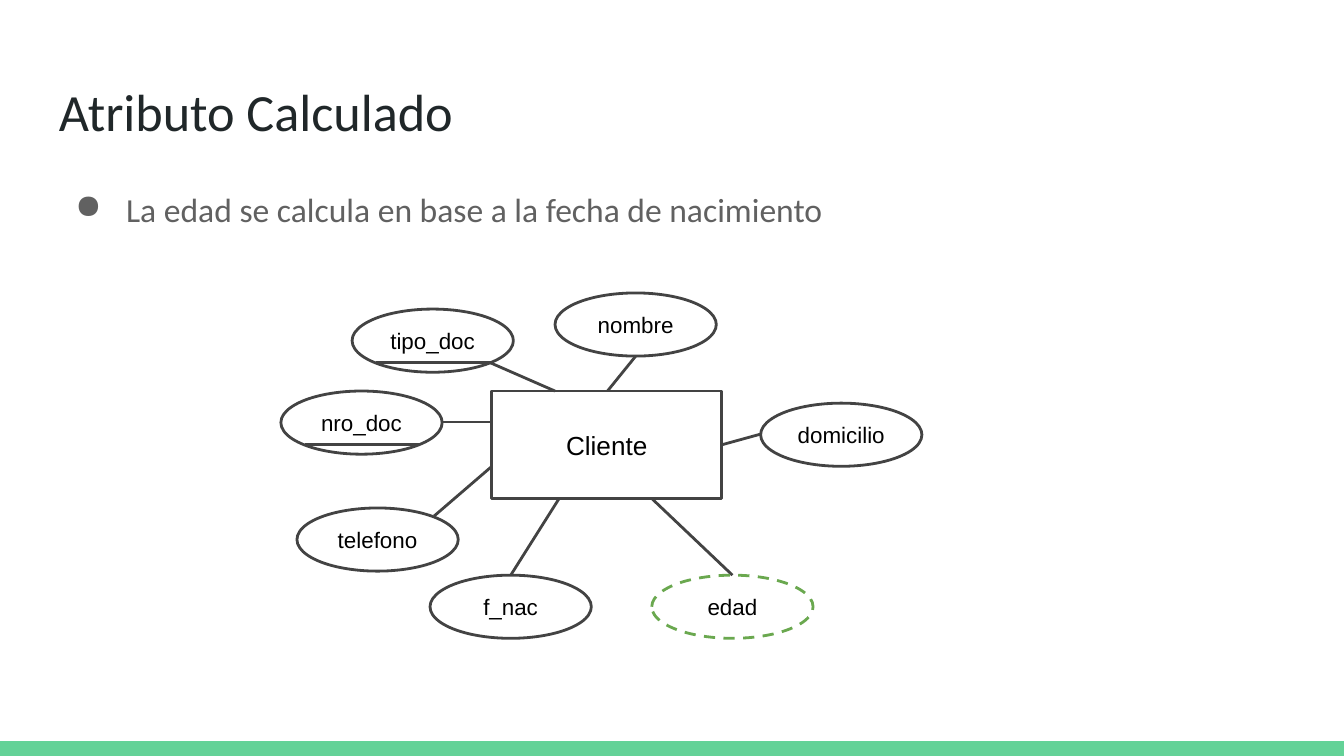
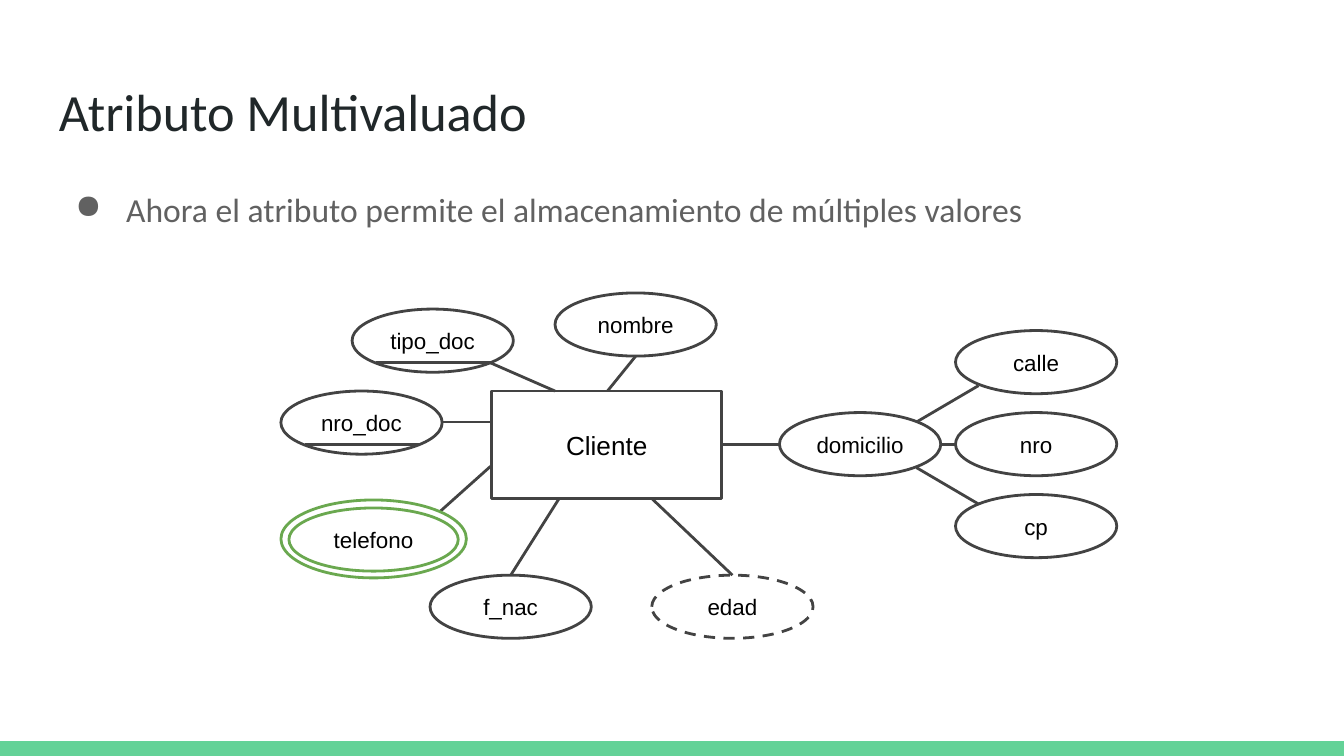
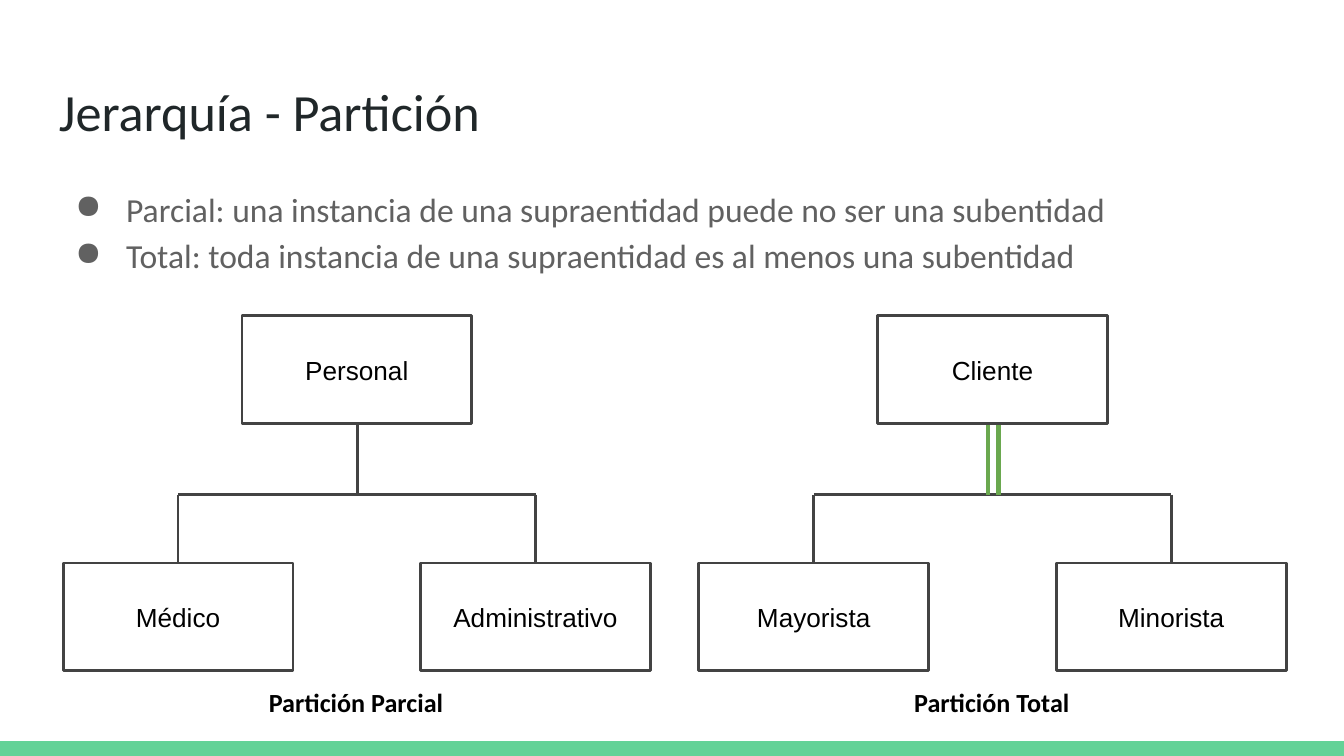
from lxml import etree
from pptx import Presentation
from pptx.dml.color import RGBColor
from pptx.enum.dml import MSO_LINE
from pptx.enum.shapes import MSO_CONNECTOR, MSO_SHAPE
from pptx.enum.text import MSO_ANCHOR, PP_ALIGN
from pptx.oxml.ns import qn
from pptx.util import Inches, Pt

RECTANGLE, ELLIPSE = MSO_SHAPE.RECTANGLE, MSO_SHAPE.OVAL
STRAIGHT = MSO_CONNECTOR.STRAIGHT
DASH = MSO_LINE.DASH
LEFT, CENTER = PP_ALIGN.LEFT, PP_ALIGN.CENTER
TOP, MIDDLE = MSO_ANCHOR.TOP, MSO_ANCHOR.MIDDLE

COLORS = {
    "band": "63D297",
    "title": "202729",
    "body": "616161",
    "outline": "434343",
    "accent": "6AA84F",
    "label": "000000",
}

SLIDE_WIDTH = Inches(10)
SLIDE_HEIGHT = SLIDE_WIDTH * 9 // 16
UNIT = SLIDE_WIDTH // 100  # square grid, 100 columns wide
ROWS = SLIDE_HEIGHT / UNIT

ENTITY = (17.1, 8)
ATTRIBUTE = (12, 4.7)
BAND_HEIGHT = 1.1
MARGIN = 3.4


def write(shape, lines, size, font, color, align=LEFT, anchor=TOP, bold=False, bullet=False):
    """Fill a shape's text frame, one paragraph per line."""
    frame = shape.text_frame
    frame.word_wrap = True
    frame.vertical_anchor = anchor
    frame.margin_left = frame.margin_right = UNIT
    frame.margin_top = frame.margin_bottom = UNIT
    for index, line in enumerate(lines):
        paragraph = frame.add_paragraph() if index else frame.paragraphs[0]
        paragraph.alignment = align
        if bullet:
            paragraph.line_spacing = 1.15
            properties = paragraph._p.get_or_add_pPr()
            properties.set("marL", str(Inches(0.5)))
            properties.set("indent", str(-Inches(0.38)))
            bullet_color = etree.SubElement(properties, qn("a:buClr"))
            etree.SubElement(bullet_color, qn("a:srgbClr"), val=COLORS[color])
            etree.SubElement(properties, qn("a:buChar"), char="●")
        run = paragraph.add_run()
        run.text = line
        run.font.size = Pt(size)
        run.font.name = font
        run.font.bold = bold
        run.font.color.rgb = RGBColor.from_string(COLORS[color])


def draw_line(slide, start_x, start_y, end_x, end_y, color="outline", weight=1.5):
    points = [round(value * UNIT) for value in (start_x, start_y, end_x, end_y)]
    connector = slide.shapes.add_connector(STRAIGHT, *points)
    connector.line.color.rgb = RGBColor.from_string(COLORS[color])
    connector.line.width = Pt(weight)
    etree.SubElement(connector._element.spPr, qn("a:effectLst"))


presentation = Presentation()
presentation.slide_width = SLIDE_WIDTH
presentation.slide_height = SLIDE_HEIGHT
blank_layout = presentation.slide_layouts[6]

# Shared frame: band, title and bullets
pages = [
    ("Atributo Calculado", 93.2, ["La edad se calcula en base a la fecha de nacimiento"]),
    ("Atributo Multivaluado", 93.2,
     ["Ahora el atributo permite el almacenamiento de múltiples valores"]),
    ("Jerarquía - Partición", 87.5,
     ["Parcial: una instancia de una supraentidad puede no ser una subentidad",
      "Total: toda instancia de una supraentidad es al menos una subentidad"]),
]
slides = []
for title, body_width, bullets in pages:
    slide = presentation.slides.add_slide(blank_layout)
    slides.append(slide)
    band = slide.shapes.add_shape(
        RECTANGLE, 0, round((ROWS - BAND_HEIGHT) * UNIT), SLIDE_WIDTH, round(BAND_HEIGHT * UNIT))
    band.shadow.inherit = False
    band.fill.solid()
    band.fill.fore_color.rgb = RGBColor.from_string(COLORS["band"])
    band.line.fill.background()
    title_box = slide.shapes.add_textbox(
        *[round(value * UNIT) for value in (MARGIN, 4.9, 93.2, 6.3)])
    write(title_box, [title], 28, "Calibri", "title")
    body_box = slide.shapes.add_textbox(
        *[round(value * UNIT) for value in (MARGIN, 12.6, body_width, 5.5)])
    write(body_box, bullets, 18, "Calibri", "body", bullet=True)

calculated, multivalued, hierarchy = slides

# Nodes: slide, kind, label, left, top, (width, height), color, dashed
nodes = []
for slide, age_color in ((calculated, "accent"), (multivalued, "outline")):
    nodes += [
        (slide, RECTANGLE, "Cliente", 36.6, 29.1, ENTITY, "outline", False),
        (slide, ELLIPSE, "nombre", 41.3, 21.8, ATTRIBUTE, "outline", False),
        (slide, ELLIPSE, "f_nac", 32, 42.8, ATTRIBUTE, "outline", False),
        (slide, ELLIPSE, "edad", 48.5, 42.8, ATTRIBUTE, age_color, True),
    ]
    for label, left, top in (("tipo_doc", 26.2, 23), ("nro_doc", 20.9, 29.1)):
        nodes.append((slide, ELLIPSE, label, left, top, ATTRIBUTE, "outline", False))
        draw_line(slide, left + 1.8, top + 4, left + 10.3, top + 4)  # key underline
    for link in (
        (36.5, 27, 41.3, 29.1),
        (32.9, 31.4, 36.6, 31.4),
        (47.3, 26.5, 45.2, 29.1),
        (38, 42.8, 41.6, 37.1),
        (54.5, 42.8, 48.5, 37.1),
    ):
        draw_line(slide, *link)

# Calculated attribute: simple address and telephone
nodes += [
    (calculated, ELLIPSE, "domicilio", 56.6, 30, ATTRIBUTE, "outline", False),
    (calculated, ELLIPSE, "telefono", 22.1, 37.8, ATTRIBUTE, "outline", False),
]
draw_line(calculated, 53.7, 33.1, 56.6, 32.3)
draw_line(calculated, 36.6, 34.7, 32.3, 38.4)

# Multivalued attribute: double telephone outline, composite address
nodes += [
    (multivalued, ELLIPSE, "", 20.9, 37.2, (13.8, 5.8), "accent", False),
    (multivalued, ELLIPSE, "telefono", 21.5, 37.8, (12.6, 4.7), "accent", False),
    (multivalued, ELLIPSE, "domicilio", 58, 30.7, ATTRIBUTE, "outline", False),
]
draw_line(multivalued, 36.5, 34.7, 32.7, 38.1)
draw_line(multivalued, 53.7, 33.1, 58, 33.1)
for row, (part, link) in enumerate((
    ("calle", (68.2, 31.4, 72.8, 28.7)),
    ("nro", (70, 33.1, 71.1, 33.1)),
    ("cp", (68.2, 34.8, 72.8, 37.5)),
)):
    nodes.append((multivalued, ELLIPSE, part, 71.1, 24.6 + 6.1 * row, ATTRIBUTE, "outline", False))
    draw_line(multivalued, *link)

# Hierarchy: two trees side by side
BRANCH_TOP, CHILD_TOP, PARENT_TOP = 36.8, 41.9, 23.5
trees = [
    ("Personal", ("Médico", "Administrativo"), "Partición Parcial", (26.6,), "outline", 1.5),
    ("Cliente", ("Mayorista", "Minorista"), "Partición Total", (73.5, 74.3), "accent", 2.25),
]
for index, (parent, children, caption, trunks, trunk_color, trunk_weight) in enumerate(trees):
    tree_left = 4.7 + 47.3 * index
    nodes.append((hierarchy, RECTANGLE, parent, tree_left + 13.3, PARENT_TOP, ENTITY, "outline", False))
    branch_left = tree_left + ENTITY[0] / 2
    draw_line(hierarchy, branch_left, BRANCH_TOP, branch_left + 26.6, BRANCH_TOP)
    for column, child in enumerate(children):
        child_left = tree_left + 26.6 * column
        child_center = child_left + ENTITY[0] / 2
        nodes.append((hierarchy, RECTANGLE, child, child_left, CHILD_TOP, ENTITY, "outline", False))
        draw_line(hierarchy, child_center, BRANCH_TOP, child_center, CHILD_TOP)
    for trunk in trunks:
        draw_line(hierarchy, trunk, PARENT_TOP + ENTITY[1], trunk, BRANCH_TOP,
                  trunk_color, trunk_weight)
    caption_box = hierarchy.shapes.add_textbox(
        *[round(value * UNIT) for value in (tree_left + 11.4, 50.1, 20.8, 5.6)])
    write(caption_box, [caption], 14, "Calibri", "label", CENTER, bold=True)

for slide, kind, label, left, top, (width, height), color, dashed in nodes:
    node = slide.shapes.add_shape(
        kind, *[round(value * UNIT) for value in (left, top, width, height)])
    node.shadow.inherit = False
    node.fill.background()
    node.line.color.rgb = RGBColor.from_string(COLORS[color])
    node.line.width = Pt(1.5)
    if dashed:
        node.line.dash_style = DASH
    if label:
        label_size = 14 if kind == RECTANGLE else 12
        write(node, [label], label_size, "Arial", "label", CENTER, MIDDLE)

presentation.save("out.pptx")
